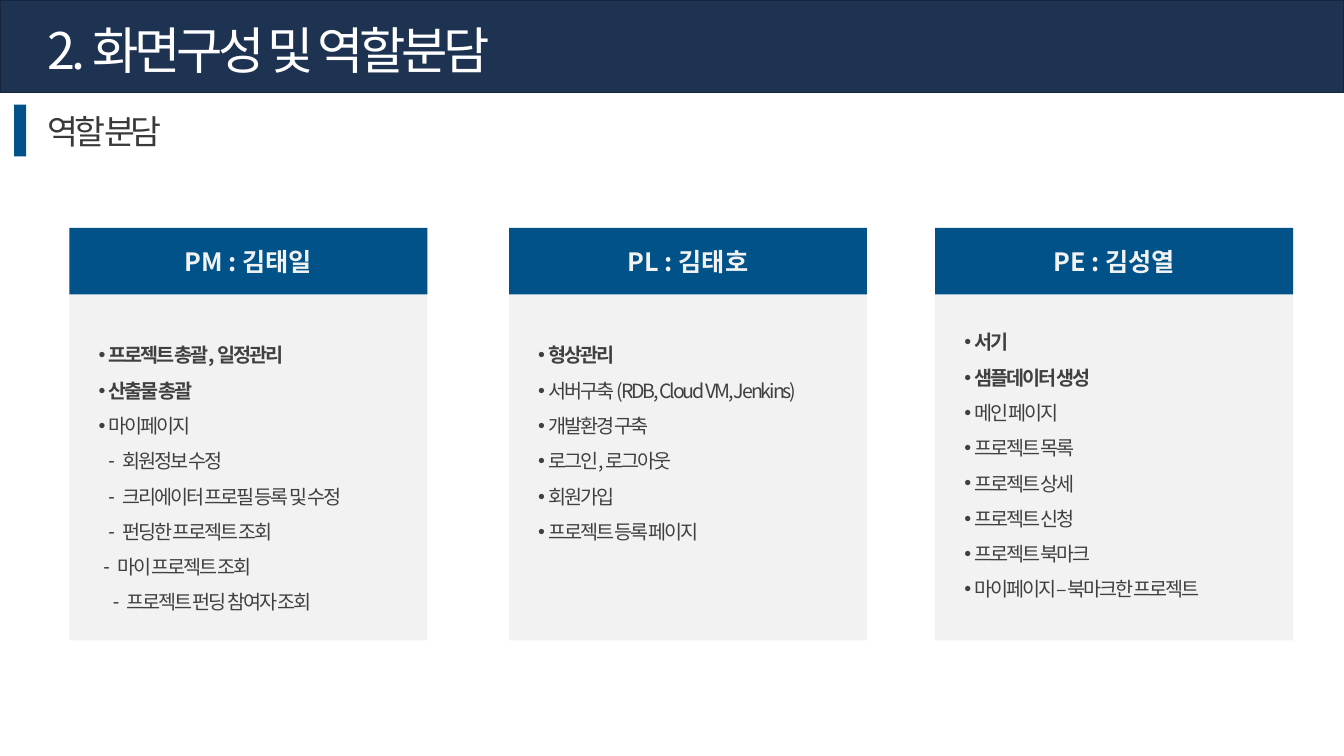
from dataclasses import dataclass

from lxml.etree import SubElement
from pptx import Presentation
from pptx.dml.color import RGBColor
from pptx.enum.shapes import MSO_SHAPE
from pptx.enum.text import MSO_ANCHOR, MSO_AUTO_SIZE, PP_ALIGN
from pptx.oxml.ns import qn
from pptx.util import Cm, Pt


@dataclass(frozen=True)
class Theme:
    font: str = "Noto Sans CJK KR"
    navy: str = "1E3252"
    navy_line: str = "16253D"
    blue: str = "005289"
    panel: str = "F2F2F2"
    white: str = "FFFFFF"
    heading: str = "393939"
    body: str = "404040"
    title_size: int = 36
    subtitle_size: int = 24
    label_size: int = 18
    body_size: int = 14


THEME = Theme()
CARD_TOP, CARD_WIDTH, CARD_HEIGHT, LABEL_HEIGHT = 5.74, 9.02, 10.4, 1.68
LIST_INSET, LIST_WIDTH, LIST_HEIGHT = 0.48, 8.03, 7.32

BOLD = ("•", 0, 0.25, True)
PLAIN = ("•", 0, 0.25, False)
DASH = ("-", 0.25, 0.35, False)
DASH_NEAR = ("-", 0.12, 0.35, False)
DASH_FAR = ("-", 0.36, 0.35, False)

ROLES = [
    (1.75, 8.23, "PM : 김태일", [
        ("프로젝트 총괄, 일정관리", BOLD),
        ("산출물 총괄", BOLD),
        ("마이페이지", PLAIN),
        ("회원정보 수정", DASH),
        ("크리에이터 프로필 등록 및 수정", DASH),
        ("펀딩한 프로젝트 조회", DASH),
        ("마이 프로젝트 조회", DASH_NEAR),
        ("프로젝트 펀딩 참여자 조회", DASH_FAR),
    ]),
    (12.83, 8.23, "PL : 김태호", [
        ("형상관리", BOLD),
        ("서버구축 (RDB, Cloud VM, Jenkins)", PLAIN),
        ("개발환경 구축", PLAIN),
        ("로그인, 로그아웃", PLAIN),
        ("회원가입", PLAIN),
        ("프로젝트 등록 페이지", PLAIN),
    ]),
    (23.57, 7.9, "PE : 김성열", [
        ("서기", BOLD),
        ("샘플데이터 생성", BOLD),
        ("메인 페이지", PLAIN),
        ("프로젝트 목록", PLAIN),
        ("프로젝트 상세", PLAIN),
        ("프로젝트 신청", PLAIN),
        ("프로젝트 북마크", PLAIN),
        ("마이페이지 – 북마크한 프로젝트", PLAIN),
    ]),
]


def style(p, size, color, bold=False, spacing=0):
    p.font.size = Pt(size)
    p.font.bold = bold
    p.font.color.rgb = RGBColor.from_string(color)
    p.font.name = THEME.font
    props = p._p.pPr.find(qn("a:defRPr"))
    props.set("spc", str(round(spacing * 100)))
    SubElement(props, qn("a:ea")).set("typeface", THEME.font)


def add_bullet(p, char, start, hang):
    props = p._p.get_or_add_pPr()
    props.set("marL", str(Cm(start + hang)))
    props.set("indent", str(-Cm(hang)))
    SubElement(props, qn("a:buChar")).set("char", char)


def add_rect(s, left, top, width, height, fill, line=None):
    sp = s.shapes.add_shape(MSO_SHAPE.RECTANGLE, Cm(left), Cm(top), Cm(width), Cm(height))
    sp.shadow.inherit = False
    sp.fill.solid()
    sp.fill.fore_color.rgb = RGBColor.from_string(fill)
    if line:
        sp.line.color.rgb = RGBColor.from_string(line)
        sp.line.width = Pt(1)
    else:
        sp.line.fill.background()
    return sp


def place(sp, left, top, width, height):
    sp.left, sp.top, sp.width, sp.height = Cm(left), Cm(top), Cm(width), Cm(height)
    sp.element.getparent().append(sp.element)
    tf = sp.text_frame
    tf.word_wrap = True
    tf.auto_size = MSO_AUTO_SIZE.NONE
    tf.vertical_anchor = MSO_ANCHOR.TOP
    return tf


def fill_heading(sp, box, text, size, color):
    p = place(sp, *box).paragraphs[0]
    p.text = text
    p.alignment = PP_ALIGN.LEFT
    p.space_before = Pt(0)
    style(p, size, color, spacing=-3)


def fill_list(sp, left, top, items):
    tf = place(sp, left, top, LIST_WIDTH, LIST_HEIGHT)
    for i, (text, (char, start, hang, bold)) in enumerate(items):
        p = tf.add_paragraph() if i else tf.paragraphs[0]
        p.text = text
        p.alignment = PP_ALIGN.LEFT
        p.line_spacing = 1.5
        p.space_before = Pt(0)
        add_bullet(p, char, start, hang)
        style(p, THEME.body_size, THEME.body, bold, -1.5)


def add_card(s, left, label):
    add_rect(s, left, CARD_TOP, CARD_WIDTH, CARD_HEIGHT, THEME.panel)
    sp = add_rect(s, left, CARD_TOP, CARD_WIDTH, LABEL_HEIGHT, THEME.blue)
    sp.text_frame.vertical_anchor = MSO_ANCHOR.MIDDLE
    p = sp.text_frame.paragraphs[0]
    p.text = label
    p.alignment = PP_ALIGN.CENTER
    style(p, THEME.label_size, THEME.panel, bold=True)


def main():
    prs = Presentation()
    prs.slide_width, prs.slide_height = Cm(33.87), Cm(19.05)
    s = prs.slides.add_slide(prs.slide_layouts.get_by_name("Comparison"))
    title, subtitle, *lists = s.placeholders

    add_rect(s, 0, 0, 33.87, 2.34, THEME.navy, THEME.navy_line)
    add_rect(s, 0.36, 2.64, 0.3, 1.3, THEME.blue)
    fill_heading(title, (0.94, 0.36, 12.9, 2.08), "2. 화면구성 및 역할분담",
                 THEME.title_size, THEME.white)
    fill_heading(subtitle, (0.94, 2.67, 3.71, 1.27), "역할 분담",
                 THEME.subtitle_size, THEME.heading)

    for sp, (left, list_top, label, items) in zip(lists, ROLES):
        add_card(s, left, label)
        fill_list(sp, left + LIST_INSET, list_top, items)

    prs.save("out.pptx")


if __name__ == "__main__":
    main()
